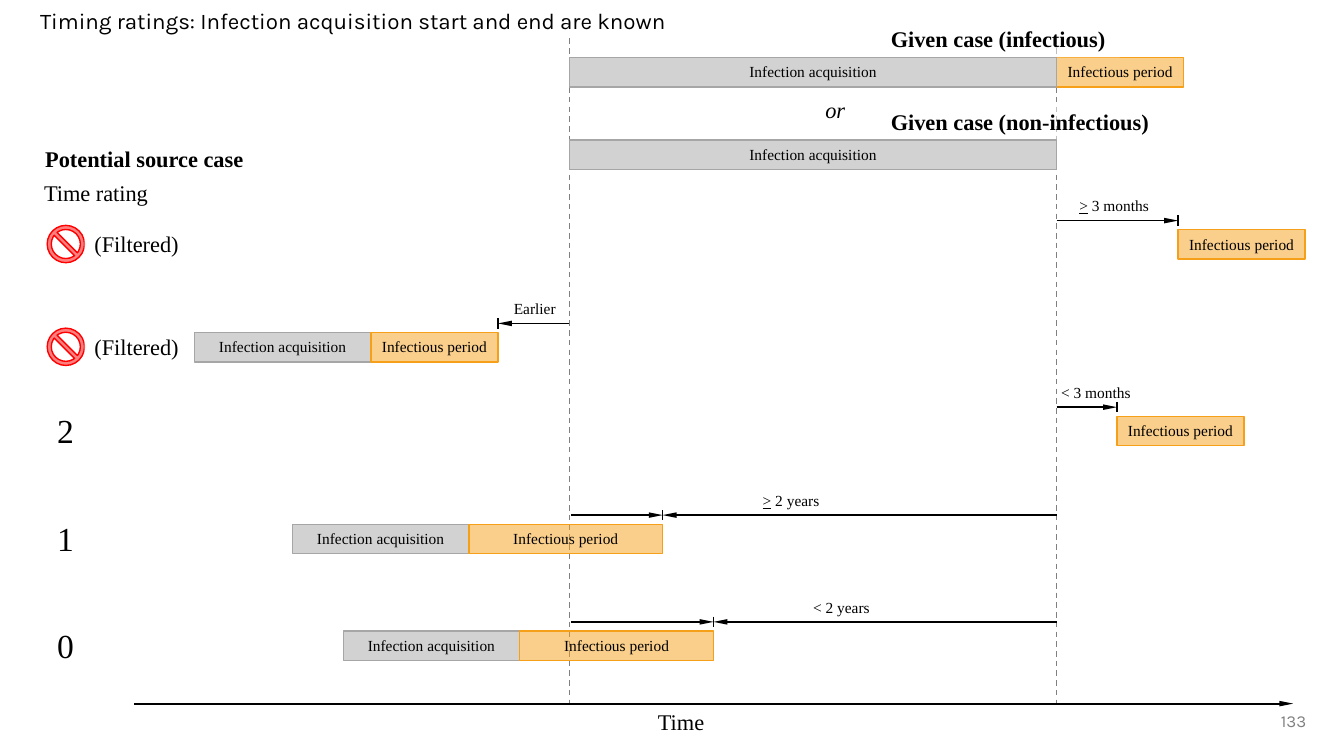
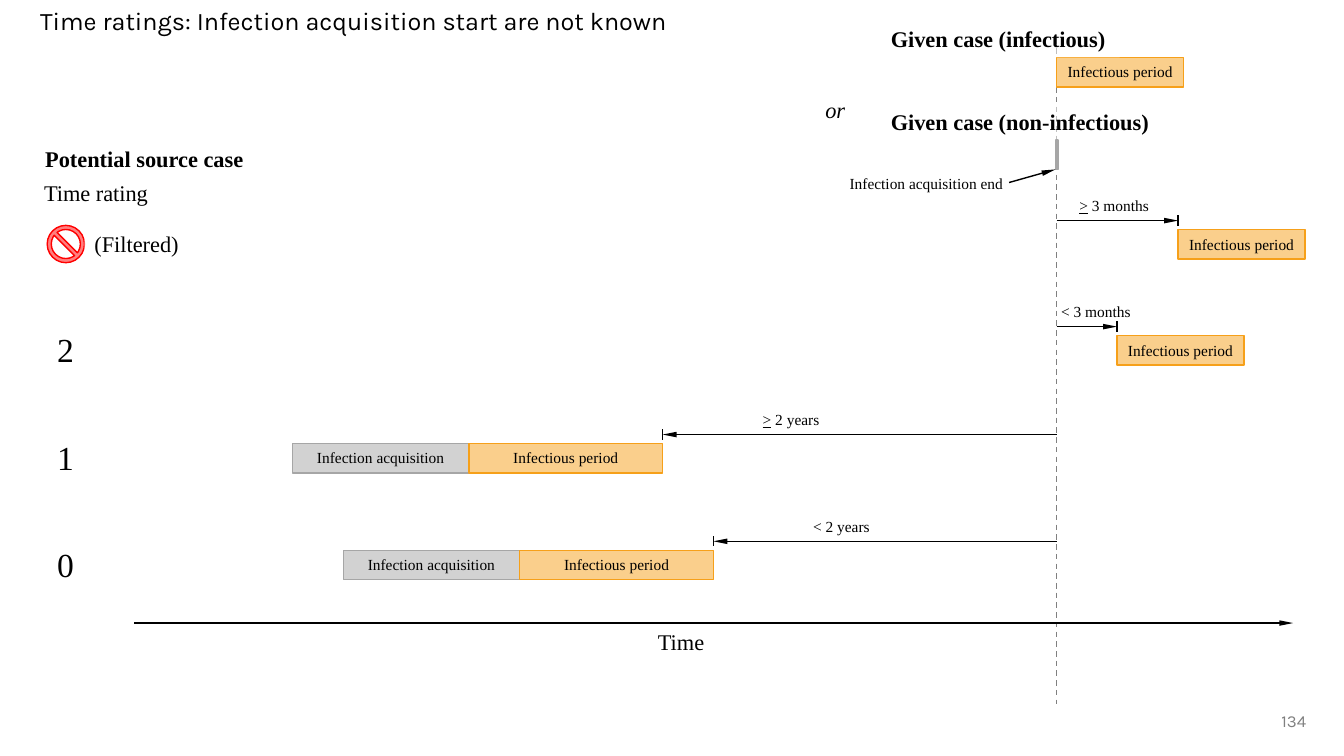
from dataclasses import dataclass, replace

from lxml.etree import SubElement
from pptx import Presentation
from pptx.dml.color import RGBColor
from pptx.enum.dml import MSO_LINE
from pptx.enum.shapes import MSO_CONNECTOR, MSO_SHAPE
from pptx.enum.text import MSO_ANCHOR, MSO_AUTO_SIZE, PP_ALIGN
from pptx.oxml.ns import qn
from pptx.shapes.autoshape import Shape
from pptx.slide import Slide
from pptx.util import Cm, Pt


@dataclass(frozen=True)
class Theme:
    black: str = "000000"
    white: str = "FFFFFF"
    grey: str = "A6A6A6"
    orange: str = "F6A01A"
    red: str = "FF0000"
    muted: str = "808080"
    serif: str = "Times New Roman"
    sans: str = "Karla"
    small: int = 11
    page: int = 12
    head: int = 16
    score: int = 24


@dataclass(frozen=True)
class Row:
    """One source case; an empty score means it is filtered out."""
    y: float
    score: str
    sign: str
    label: str
    left: float
    tip: float
    width: float
    past: bool = True
    early: bool = False


@dataclass(frozen=True)
class Page:
    title: str
    size: int
    number: str
    known: bool
    axis: float
    rows: tuple[Row, ...]


@dataclass(frozen=True)
class Box:
    x: float
    y: float
    w: float
    h: float


THEME = Theme()
START, END = 14.35, 26.63
TOP, FOOT = 0.97, 17.73
BAR, LINE = 0.74, 0.94
SHORT, LONG, GAIN = 3.2, 4.88, 4.45
GIVEN = (1.45, 3.53)
SHIFT = 2.03

LATE = Row(5.56, "", ">", " 3 months", 26.95, 29.69, SHORT, past=False)
EARLY = Row(8.15, "", "", "Earlier", 12.7, 12.55, SHORT, early=True)
RATED = (
    Row(10.26, "2", "", "< 3 months", 26.49, 28.15, SHORT, past=False),
    Row(12.98, "1", ">", " 2 years", 18.97, 16.7, LONG),
    Row(15.67, "0", "", "< 2 years", 20.24, 17.98, LONG),
)
PAGES = (
    Page("Timing ratings: Infection acquisition start and end are known",
         16, "133", True, FOOT, (LATE, EARLY, *RATED)),
    Page("Time ratings: Infection acquisition start are not known",
         18, "134", False, FOOT - SHIFT,
         (LATE, *(replace(row, y=row.y - SHIFT) for row in RATED))),
)


def tint(shape: Shape, color: str, edge: bool = True) -> None:
    """Fill at half strength, with an optional line of the same colour."""
    shape.shadow.inherit = False
    shape.fill.solid()
    shape.fill.fore_color.rgb = RGBColor.from_string(color)
    tone = shape.element.spPr.find(qn("a:solidFill"))[0]
    SubElement(tone, qn("a:alpha")).set("val", "50000")
    if edge:
        shape.line.color.rgb = RGBColor.from_string(color)
        shape.line.width = Pt(1)
    else:
        shape.line.fill.background()


def form(slide: Slide, kind: MSO_SHAPE, box: Box, color: str,
         edge: bool = True) -> Shape:
    shape = slide.shapes.add_shape(
        kind, Cm(box.x), Cm(box.y), Cm(box.w), Cm(box.h))
    tint(shape, color, edge)
    return shape


def write(shape: Shape, text: str, size: int, *, sign: str = "",
          font: str = THEME.serif, color: str = THEME.black,
          align: PP_ALIGN = PP_ALIGN.LEFT, bold: bool = False,
          slant: bool = False, wrap: bool = False,
          anchor: MSO_ANCHOR = MSO_ANCHOR.TOP) -> None:
    """Set one paragraph; the sign is an underlined first run."""
    frame = shape.text_frame
    frame.word_wrap = wrap
    frame.auto_size = MSO_AUTO_SIZE.NONE if wrap else MSO_AUTO_SIZE.SHAPE_TO_FIT_TEXT
    frame.vertical_anchor = anchor
    para = frame.paragraphs[0]
    para.alignment = align
    para.font.name, para.font.size = font, Pt(size)
    para.font.bold, para.font.italic = bold, slant
    para.font.color.rgb = RGBColor.from_string(color)
    if sign:
        run = para.add_run()
        run.text, run.font.underline = sign, True
    para.add_run().text = text


def note(slide: Slide, box: Box, text: str, size: int, **style) -> Shape:
    shape = slide.shapes.add_textbox(
        Cm(box.x), Cm(box.y), Cm(box.w), Cm(box.h))
    write(shape, text, size, **style)
    return shape


def plate(slide: Slide, box: Box, text: str, size: int = THEME.head,
          bold: bool = False) -> None:
    """Text on a half clear white ground."""
    shape = form(slide, MSO_SHAPE.RECTANGLE, box, THEME.white, edge=False)
    write(shape, text, size, bold=bold)


def span(slide: Slide, x: float, y: float, w: float, gain: bool) -> None:
    """Bar for a period: grey for acquisition, orange for infectious."""
    color = THEME.grey if gain else THEME.orange
    text = "Infection acquisition" if gain else "Infectious period"
    shape = form(slide, MSO_SHAPE.RECTANGLE, Box(x, y, w, BAR), color)
    write(shape, text, THEME.small, align=PP_ALIGN.CENTER, wrap=True)


def stroke(slide: Slide, x1: float, y1: float, x2: float, y2: float,
           color: str = THEME.black, width: float = 1,
           dash: bool = False, arrow: bool = False) -> None:
    link = slide.shapes.add_connector(
        MSO_CONNECTOR.STRAIGHT, Cm(x1), Cm(y1), Cm(x2), Cm(y2))
    link.line.color.rgb = RGBColor.from_string(color)
    link.line.width = Pt(width)
    if dash:
        link.line.dash_style = MSO_LINE.DASH
    props = link.element.spPr
    if arrow:
        tail = SubElement(props.find(qn("a:ln")), qn("a:tailEnd"))
        for key, value in (("type", "triangle"), ("w", "sm"), ("len", "lg")):
            tail.set(key, value)
    SubElement(props, qn("a:effectLst"))


def rate(slide: Slide, row: Row) -> None:
    """Score of a row, or the mark of a filtered one."""
    if row.score:
        plate(slide, Box(1.19, row.y - 0.06, LINE, 1.27), row.score, THEME.score)
        return
    y = row.y + 0.12
    ban = form(slide, MSO_SHAPE.NO_SYMBOL, Box(1.19, y, LINE, LINE), THEME.red)
    ban.adjustments[0] = 0.11
    plate(slide, Box(2.13, y, 2.67, LINE), "(Filtered)")


def chart(slide: Slide, row: Row, known: bool) -> None:
    """Bars, arrows and label of a row."""
    rate(slide, row)
    top = row.y + 0.23
    left = row.tip - row.width if row.past else row.tip
    if row.past:
        span(slide, left - GAIN, top, GAIN, gain=True)
    span(slide, left, top, row.width, gain=False)
    stroke(slide, START if row.early else END, row.y, row.tip, row.y, arrow=True)
    if known and row.past and not row.early:
        stroke(slide, START + 0.05, row.y, row.tip, row.y, arrow=True)
    stroke(slide, row.tip, row.y - 0.13, row.tip, row.y + 0.13)
    wide = 1.57 if row.early else 2.29 if "months" in row.label else 1.96
    note(slide, Box(row.left, row.y - 0.73, wide, BAR), row.label,
         THEME.small, sign=row.sign)


def given(slide: Slide, known: bool) -> None:
    """The given case at the top, in both its forms."""
    span(slide, END, GIVEN[0], SHORT, gain=False)
    plate(slide, Box(22.2, 0.51, 6.02, LINE), "Given case (infectious)", bold=True)
    plate(slide, Box(22.2, 2.59, 7.11, LINE), "Given case (non-infectious)", bold=True)
    note(slide, Box(20.55, 2.31, 1.04, LINE), "or", THEME.head, slant=True)
    if known:
        for y in GIVEN:
            span(slide, START, y, END - START, gain=True)
    else:
        form(slide, MSO_SHAPE.RECTANGLE,
             Box(END - 0.02, GIVEN[1], 0.05, BAR), THEME.grey)
        note(slide, Box(21.16, 4.27, 4.39, BAR), "Infection acquisition end",
             THEME.small)
        stroke(slide, 25.43, 4.6, 26.6, 4.27, arrow=True)


def draw(slide: Slide, page: Page) -> None:
    title = note(slide, Box(0.76, 0, 29.21, 1.14), page.title, page.size,
                 font=THEME.sans, wrap=True, anchor=MSO_ANCHOR.MIDDLE)
    title.text_frame.paragraphs[0].line_spacing = 0.9
    for x in (START, END) if page.known else (END,):
        stroke(slide, x, TOP, x, FOOT, THEME.muted, dash=True)
    given(slide, page.known)
    plate(slide, Box(0.89, 3.53, 5.77, LINE), "Potential source case", bold=True)
    plate(slide, Box(0.86, 4.39, 3.18, LINE), "Time rating")
    for row in page.rows:
        chart(slide, row, page.known)
    stroke(slide, 3.38, page.axis, 32.59, page.axis, width=1.5, arrow=True)
    note(slide, Box(16.33, page.axis, 1.7, LINE), "Time", THEME.head)
    note(slide, Box(25.55, 17.65, 7.62, 1.02), page.number, THEME.page,
         font=THEME.sans, color=THEME.muted, align=PP_ALIGN.RIGHT,
         wrap=True, anchor=MSO_ANCHOR.MIDDLE)


def main() -> None:
    deck = Presentation()
    deck.slide_width, deck.slide_height = Cm(33.87), Cm(19.05)
    for page in PAGES:
        draw(deck.slides.add_slide(deck.slide_layouts[6]), page)
    deck.save("out.pptx")


if __name__ == "__main__":
    main()
